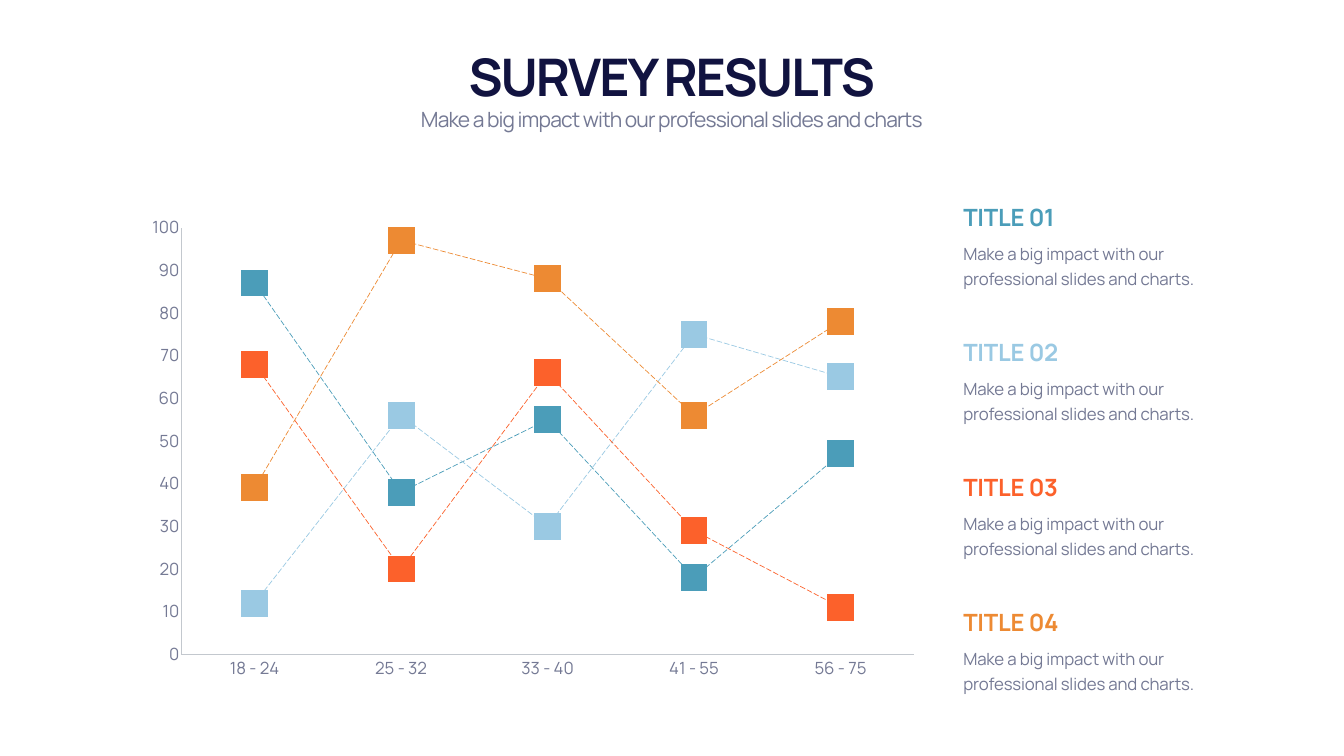
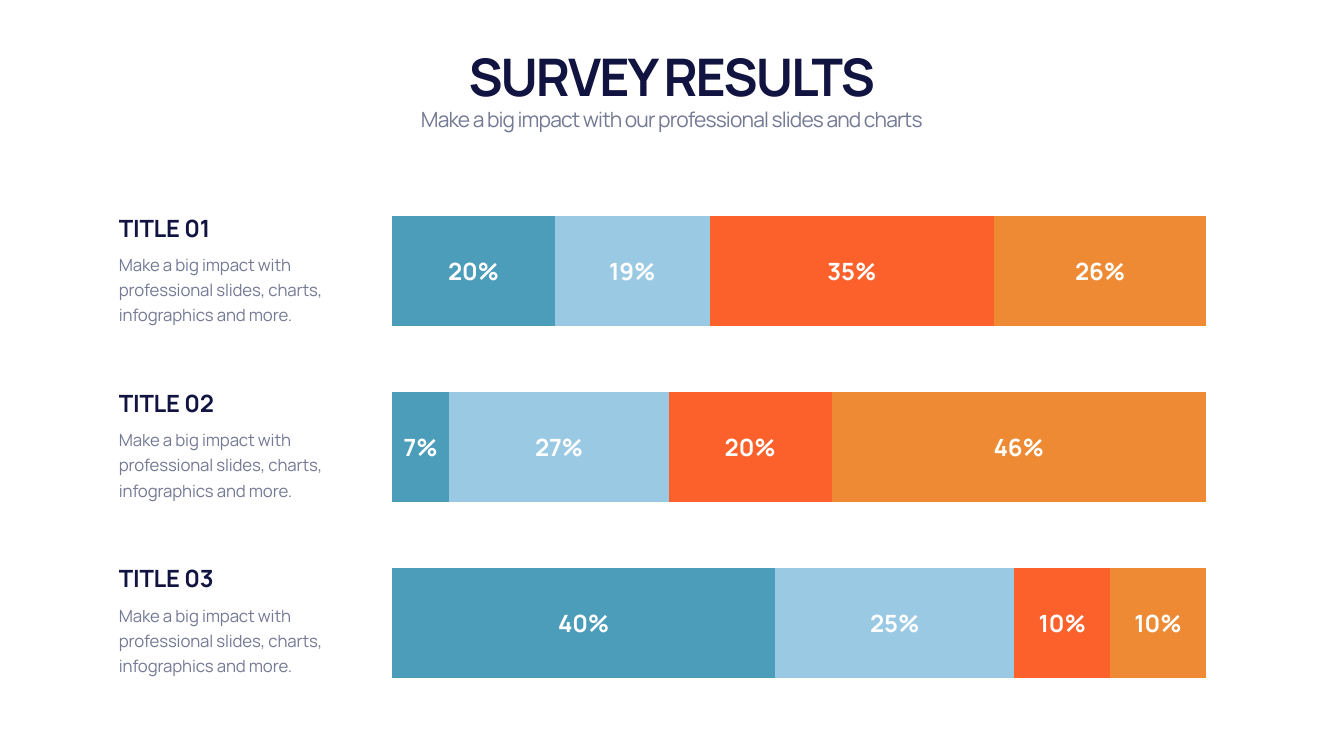
from lxml.etree import SubElement
from pptx import Presentation
from pptx.chart.data import CategoryChartData
from pptx.dml.color import RGBColor
from pptx.enum.chart import (XL_CHART_TYPE, XL_LABEL_POSITION, XL_MARKER_STYLE,
                             XL_TICK_MARK)
from pptx.enum.dml import MSO_LINE
from pptx.enum.text import MSO_ANCHOR, MSO_AUTO_SIZE, PP_ALIGN
from pptx.oxml.ns import qn
from pptx.util import Emu, Pt

FONT = "Manrope"
NAVY = RGBColor(0x11, 0x13, 0x40)
GREY = RGBColor(0x74, 0x79, 0x94)
AXIS = RGBColor(0xC3, 0xC8, 0xCE)
WHITE = RGBColor(0xFF, 0xFF, 0xFF)
TEAL = RGBColor(0x4B, 0x9D, 0xB9)
SKY = RGBColor(0x9A, 0xC9, 0xE3)
RED = RGBColor(0xFC, 0x61, 0x2B)
ORANGE = RGBColor(0xED, 0x8A, 0x33)
PALETTE = (TEAL, SKY, RED, ORANGE)

PX_PER_INCH = 100
SLIDE_W, SLIDE_H = 2666, 1500

AGE_GROUPS = ("18 - 24", "25 - 32", "33 - 40", "41 - 55", "56 - 75")
AGE_SCORES = ((87, 38, 55, 18, 47), (12, 56, 30, 75, 65),
              (68, 20, 66, 29, 11), (39, 97, 88, 56, 78))
SHARE_ROWS = ("1", "2", "3")
SHARES = ((0.4, 0.07, 0.2), (0.25, 0.27, 0.19),
          (0.1, 0.2, 0.35), (0.1, 0.46, 0.26))


def px(n):
    """Turn whole px into EMU."""
    return Emu(n * 914400 // PX_PER_INCH)


def place(sp, box):
    """Move and size a shape to a (left, top, width, height) box."""
    sp.left, sp.top, sp.width, sp.height = map(px, box)


def style_font(font, size, color, bold=False):
    """Give a font the deck's typeface with a size, colour and weight."""
    font.name, font.size, font.bold = FONT, Pt(size), bold
    font.color.rgb = color


def write(sp, text, size=24, color=GREY, bold=False, spacing=0, line=None,
          align=PP_ALIGN.LEFT, anchor=MSO_ANCHOR.TOP):
    """Write one formatted paragraph into a shape."""
    tf = sp.text_frame
    tf.word_wrap = True
    tf.auto_size = MSO_AUTO_SIZE.SHAPE_TO_FIT_TEXT
    tf.vertical_anchor = anchor
    p = tf.paragraphs[0]
    p.alignment = align
    if line:
        p.line_spacing = Pt(line)
    r = p.add_run()
    r.text = text
    style_font(r.font, size, color, bold)
    r.font._element.set("spc", str(round(spacing * 100)))


def add_text(s, box, text, **fmt):
    """Add a text box with one formatted paragraph."""
    write(s.shapes.add_textbox(*map(px, box)), text, **fmt)


def add_titled_slide(prs):
    """Add a title-only slide with the shared title and subtitle."""
    s = prs.slides.add_slide(prs.slide_layouts[5])
    place(s.shapes.title, (166, 82, 2333, 135))
    write(s.shapes.title, "SURVEY RESULTS", size=74, color=NAVY, bold=True,
          spacing=-2.9, align=PP_ALIGN.CENTER, anchor=MSO_ANCHOR.BOTTOM)
    add_text(s, (166, 207, 2333, 61),
             "Make a big impact with our professional slides and charts",
             size=30, spacing=-1.2, align=PP_ALIGN.CENTER)
    return s


def add_captions(s, box, pitch, colors, body, body_h):
    """Stack numbered headings with body text at an equal pitch."""
    left, top, width, head_h = box
    for i, color in enumerate(colors):
        y = top + i * pitch
        add_text(s, (left, y, width, head_h), f"TITLE {i + 1:02}", size=34,
                 color=color, bold=True, spacing=-0.3,
                 anchor=MSO_ANCHOR.BOTTOM)
        add_text(s, (left, y + head_h + 5, width, body_h), body,
                 spacing=-0.2, line=36)


def add_chart(s, box, kind, categories, rows, layout, number_format="General"):
    """Add a plain chart whose inner plot area fills the layout fractions."""
    data = CategoryChartData(number_format=number_format)
    data.categories = categories
    for i, row in enumerate(rows, 1):
        data.add_series(f"Series {i}", row)
    chart = s.shapes.add_chart(kind, *map(px, box), data).chart
    chart.has_legend = chart.has_title = False
    chart.value_axis.has_major_gridlines = False
    area = chart._chartSpace.find(f".//{qn('c:plotArea')}")
    for old in area.findall(qn("c:layout")):
        area.remove(old)
    outer = SubElement(area, qn("c:layout"))
    area.insert(0, outer)
    manual = SubElement(outer, qn("c:manualLayout"))
    settings = (("layoutTarget", "inner"), ("xMode", "edge"),
                ("yMode", "edge"), *zip("xywh", layout))
    for tag, val in settings:
        SubElement(manual, qn(f"c:{tag}")).set("val", str(val))
    return chart


def add_age_chart(s, box):
    """Add the dashed line chart with large square markers."""
    chart = add_chart(s, box, XL_CHART_TYPE.LINE_MARKERS, AGE_GROUPS,
                      AGE_SCORES, (0.057, 0.025, 0.943, 0.899))
    style_font(chart.font, 24, GREY)
    for axis in (chart.category_axis, chart.value_axis):
        axis.major_tick_mark = axis.minor_tick_mark = XL_TICK_MARK.NONE
        style_font(axis.tick_labels.font, 24, GREY)
        axis.format.line.color.rgb = AXIS
        axis.format.line.width = Pt(2)
    value_axis = chart.value_axis
    value_axis.minimum_scale, value_axis.maximum_scale = 0, 100
    value_axis.major_unit = 10
    plot = chart.plots[0]
    plot.vary_by_categories = False
    for series, color in zip(plot.series, PALETTE):
        series.smooth = False
        line = series.format.line
        line.color.rgb, line.width = color, Pt(1)
        line.dash_style = MSO_LINE.LONG_DASH
        marker = series.marker
        marker.style, marker.size = XL_MARKER_STYLE.SQUARE, 37
        marker.format.fill.solid()
        marker.format.fill.fore_color.rgb = color
        marker.format.line.fill.background()


def add_share_chart(s, box):
    """Add the stacked percentage bars with centred labels."""
    chart = add_chart(s, box, XL_CHART_TYPE.BAR_STACKED_100, SHARE_ROWS,
                      SHARES, (0, 0, 1, 1), "0%")
    style_font(chart.font, 34, WHITE, bold=True)
    chart.category_axis.visible = chart.value_axis.visible = False
    plot = chart.plots[0]
    plot.gap_width, plot.overlap = 60, 100
    plot.vary_by_categories = False
    for series, color in zip(plot.series, PALETTE):
        series.format.fill.solid()
        series.format.fill.fore_color.rgb = color
        labels = series.data_labels
        labels.show_value = True
        labels.position = XL_LABEL_POSITION.CENTER
        labels.number_format = "0%"
        labels.number_format_is_linked = False
        style_font(labels.font, 34, WHITE, bold=True)


def build_age_slide(prs):
    """Build the slide with scores by age group."""
    s = add_titled_slide(prs)
    add_age_chart(s, (272, 428, 1542, 942))
    add_captions(s, (1901, 396, 526, 67), 268, PALETTE,
                 "Make a big impact with our professional slides and charts.",
                 109)


def build_share_slide(prs):
    """Build the slide with answer shares per title."""
    s = add_titled_slide(prs)
    add_captions(s, (226, 418, 481, 67), 348, [NAVY] * len(SHARE_ROWS),
                 "Make a big impact with professional slides, charts, "
                 "infographics and more.", 159)
    add_share_chart(s, (778, 364, 1614, 1047))


def main():
    """Build and save the deck."""
    prs = Presentation()
    prs.slide_width, prs.slide_height = px(SLIDE_W), px(SLIDE_H)
    build_age_slide(prs)
    build_share_slide(prs)
    prs.save("out.pptx")


if __name__ == "__main__":
    main()
